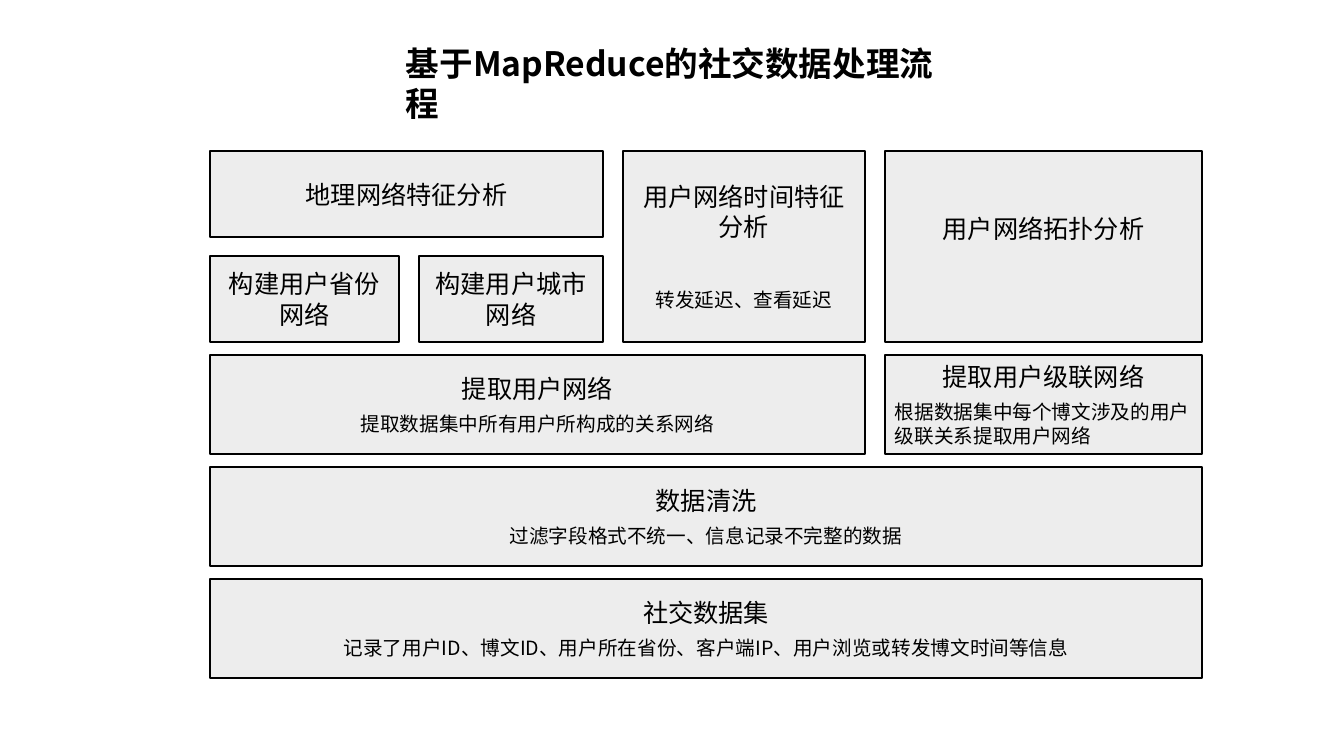
from lxml.etree import SubElement
from pptx import Presentation
from pptx.dml.color import RGBColor
from pptx.enum.shapes import MSO_SHAPE as Shape
from pptx.enum.text import MSO_ANCHOR as Anchor, MSO_AUTO_SIZE as AutoSize, PP_ALIGN as Align
from pptx.oxml.ns import qn
from pptx.util import Pt

FONT = "Noto Sans CJK SC"
BLACK, GREY = "000000", "EDEDED"
SLIDE_W, SLIDE_H = 1344, 756
PX = 12192000 / SLIDE_W

TITLE = "基于MapReduce的社交数据处理流程"
TITLE_BOX = (396, 38, 551, 50)

# Column edges (left, right) and row edges (top, bottom)
PROVINCE, CITY, TIME, TOPOLOGY = (210, 399), (419, 603), (623, 865), (885, 1202)
LAYER_TOP, LAYER_STEP, LAYER_H = 355, 112, 99
EXTRACT, CLEAN, DATASET = [
    (LAYER_TOP + i * LAYER_STEP, LAYER_TOP + i * LAYER_STEP + LAYER_H) for i in range(3)
]
ANALYSIS, BUILD = (151, 237), (256, 342)

# Heading, detail, first and last column, first and last row, options
BLOCKS = [
    ("社交数据集", "记录了用户ID、博文ID、用户所在省份、客户端IP、用户浏览或转发博文时间等信息",
     PROVINCE, TOPOLOGY, DATASET, DATASET, {}),
    ("数据清洗", "过滤字段格式不统一、信息记录不完整的数据",
     PROVINCE, TOPOLOGY, CLEAN, CLEAN, {}),
    ("地理网络特征分析", "", PROVINCE, CITY, ANALYSIS, ANALYSIS, {}),
    ("用户网络时间特征分析", "转发延迟、查看延迟",
     TIME, TIME, ANALYSIS, BUILD, {"gap": 33}),
    ("用户网络拓扑分析", "", TOPOLOGY, TOPOLOGY, ANALYSIS, BUILD, {"bottom": 42}),
    ("提取用户网络", "提取数据集中所有用户所构成的关系网络",
     PROVINCE, TIME, EXTRACT, EXTRACT, {}),
    ("提取用户级联网络", "根据数据集中每个博文涉及的用户级联关系提取用户网络",
     TOPOLOGY, TOPOLOGY, EXTRACT, EXTRACT, {"detail_align": Align.LEFT}),
    ("构建用户省份网络", "", PROVINCE, PROVINCE, BUILD, BUILD, {}),
    ("构建用户城市网络", "", CITY, CITY, BUILD, BUILD, {}),
]


def emu(*lengths):
    return [round(length * PX) for length in lengths]


def color(hex_value):
    return RGBColor.from_string(hex_value)


def write(paragraph, text, size, align, bold=False):
    paragraph.text = text
    paragraph.alignment = align
    for run in paragraph.runs:
        run.font.size, run.font.bold = Pt(size), bold
        run.font.name = FONT
        run.font.color.rgb = color(BLACK)
        SubElement(run.font._element, qn("a:ea"), typeface=FONT)


def add_block(slide, heading, detail, first_col, last_col, first_row, last_row, options):
    left, top = first_col[0], first_row[0]
    block = slide.shapes.add_shape(
        Shape.RECTANGLE, *emu(left, top, last_col[1] - left, last_row[1] - top))
    block.shadow.inherit = False
    block.fill.solid()
    block.fill.fore_color.rgb = color(GREY)
    block.line.color.rgb = color(BLACK)
    block.line.width = Pt(1.5)

    frame = block.text_frame
    frame.word_wrap = True
    frame.vertical_anchor = Anchor.MIDDLE
    if "bottom" in options:
        frame.margin_bottom = emu(options["bottom"])[0]
    write(frame.paragraphs[0], heading, 18, Align.CENTER)
    frame.paragraphs[0].space_after = Pt(options.get("gap", 6))
    if detail:
        write(frame.add_paragraph(), detail, 14, options.get("detail_align", Align.CENTER))


def main():
    deck = Presentation()
    deck.slide_width, deck.slide_height = emu(SLIDE_W, SLIDE_H)
    slide = deck.slides.add_slide(deck.slide_layouts[6])

    # Layered process blocks
    for block in BLOCKS:
        add_block(slide, *block)

    # Title
    title = slide.shapes.add_textbox(*emu(*TITLE_BOX)).text_frame
    title.word_wrap = True
    title.auto_size = AutoSize.SHAPE_TO_FIT_TEXT
    write(title.paragraphs[0], TITLE, 24, Align.LEFT, bold=True)

    deck.save("out.pptx")


if __name__ == "__main__":
    main()
